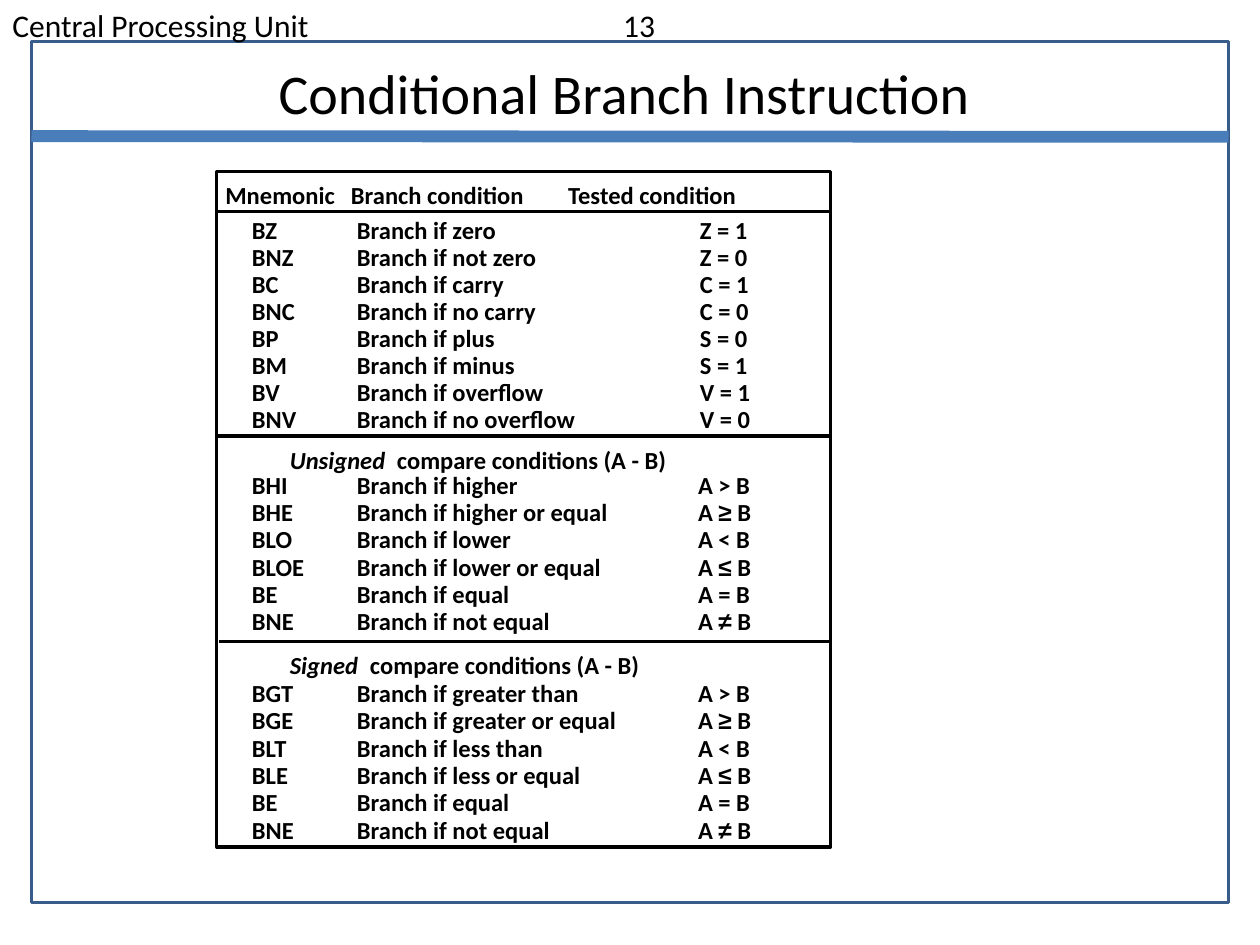
from dataclasses import dataclass
from itertools import groupby

from lxml.etree import SubElement
from pptx import Presentation
from pptx.dml.color import RGBColor
from pptx.enum.shapes import MSO_CONNECTOR, MSO_SHAPE
from pptx.enum.text import MSO_AUTO_SIZE, PP_ALIGN
from pptx.oxml.ns import qn
from pptx.util import Pt


@dataclass
class Theme:
    ink: RGBColor = RGBColor(0x00, 0x00, 0x00)
    frame: RGBColor = RGBColor(0x38, 0x5D, 0x8A)
    rule: RGBColor = RGBColor(0x4A, 0x7E, 0xBB)
    font: str = "Calibri"
    symbol_font: str = "Arial"
    symbols: str = "≥≤≠"
    title: int = 32
    header: int = 18
    body: int = 14


theme = Theme()
deck = Presentation()
deck.slide_width, deck.slide_height = Pt(720), Pt(540)
slide = deck.slides.add_slide(deck.slide_layouts[6])


def add_text(box, lines, size, tabs=(), inset=(5, 2.5), spacing=None,
             align=PP_ALIGN.LEFT, bold=True, italic_word=""):
    block = slide.shapes.add_textbox(*map(Pt, box)).text_frame
    across, down = map(Pt, inset)
    layout = {"margin_left": across, "margin_right": across,
              "margin_top": down, "margin_bottom": down,
              "word_wrap": True, "auto_size": MSO_AUTO_SIZE.SHAPE_TO_FIT_TEXT}
    for key, value in layout.items():
        setattr(block, key, value)
    for index, line in enumerate(lines):
        paragraph = block.add_paragraph() if index else block.paragraphs[0]
        paragraph.alignment, paragraph.line_spacing = align, spacing
        if tabs:
            stops = SubElement(paragraph._p.get_or_add_pPr(), qn("a:tabLst"))
            for stop in tabs:
                SubElement(stops, qn("a:tab"), pos=str(Pt(stop)), algn="l")
        pieces = [(italic_word, True)] if italic_word else []
        pieces.append((line, False))
        for words, italic in pieces:
            for is_symbol, letters in groupby(words, lambda c: c in theme.symbols):
                run = paragraph.add_run()
                run.text = "".join(letters)
                look = {"name": theme.symbol_font if is_symbol else theme.font,
                        "size": Pt(size), "bold": bold, "italic": italic}
                for key, value in look.items():
                    setattr(run.font, key, value)
                run.font.color.rgb = theme.ink


def add_rule(start, end, color, width):
    rule = slide.shapes.add_connector(MSO_CONNECTOR.STRAIGHT, *map(Pt, start + end))
    rule.line.color.rgb, rule.line.width = color, Pt(width)
    SubElement(rule._element.spPr, qn("a:effectLst"))


outlines = [
    ((18, 23.8, 684, 492), theme.frame),
    ((123.8, 97.9, 350.8, 386), theme.ink),
]
for box, color in outlines:
    outline = slide.shapes.add_shape(MSO_SHAPE.RECTANGLE, *map(Pt, box))
    outline.shadow.inherit = False
    outline.fill.background()
    outline.line.color.rgb, outline.line.width = color, Pt(2)

add_rule((18, 77.8), (702, 78.2), theme.rule, 6.75)
for left, y in [(123.8, 121), (123.8, 249.1), (125.3, 366.5)]:
    add_rule((left, y), (475, y), theme.ink, 2)

add_text((0, 0, 720, 29.5), ["Central Processing Unit\t13"], theme.header,
         tabs=[349], inset=(7.2, 3.6), bold=False)
add_text((53.8, 29.9, 606, 46), ["Conditional Branch Instruction"], theme.title,
         inset=(7.2, 3.6), align=PP_ALIGN.CENTER, bold=False)
add_text((123.8, 100.5, 340, 21), ["Mnemonic\tBranch condition\tTested condition"],
         theme.body, tabs=[71.8, 195.9])

for kind, y, gap in [("Unsigned", 251.6, 61.2), ("Signed", 368.8, 45.8)]:
    add_text((160.6, y, 300, 21), ["\tcompare conditions (A - B)"], theme.body,
             tabs=[gap], italic_word=kind)

flag_branches = [
    ("BZ", "zero", "Z = 1"),
    ("BNZ", "not zero", "Z = 0"),
    ("BC", "carry", "C = 1"),
    ("BNC", "no carry", "C = 0"),
    ("BP", "plus", "S = 0"),
    ("BM", "minus", "S = 1"),
    ("BV", "overflow", "V = 1"),
    ("BNV", "no overflow", "V = 0"),
]
equality_branches = [("BE", "equal", "A = B"), ("BNE", "not equal", "A ≠ B")]
unsigned_branches = [
    ("BHI", "higher", "A > B"),
    ("BHE", "higher or equal", "A ≥ B"),
    ("BLO", "lower", "A < B"),
    ("BLOE", "lower or equal", "A ≤ B"),
] + equality_branches
signed_branches = [
    ("BGT", "greater than", "A > B"),
    ("BGE", "greater or equal", "A ≥ B"),
    ("BLT", "less than", "A < B"),
    ("BLE", "less or equal", "A ≤ B"),
] + equality_branches

sections = [
    (121.9, 128.2, 256, 0.92, flag_branches),
    (267.4, 97.9, 254.9, 0.93, unsigned_branches),
    (386.5, 97.9, 254.9, 0.93, signed_branches),
]
for top, height, test_stop, spacing, branches in sections:
    rows = [f"{mnemonic}\tBranch if {condition}\t{test}"
            for mnemonic, condition, test in branches]
    add_text((139, top, 507, height), rows, theme.body,
             tabs=[60, test_stop], spacing=spacing)

deck.save("out.pptx")
